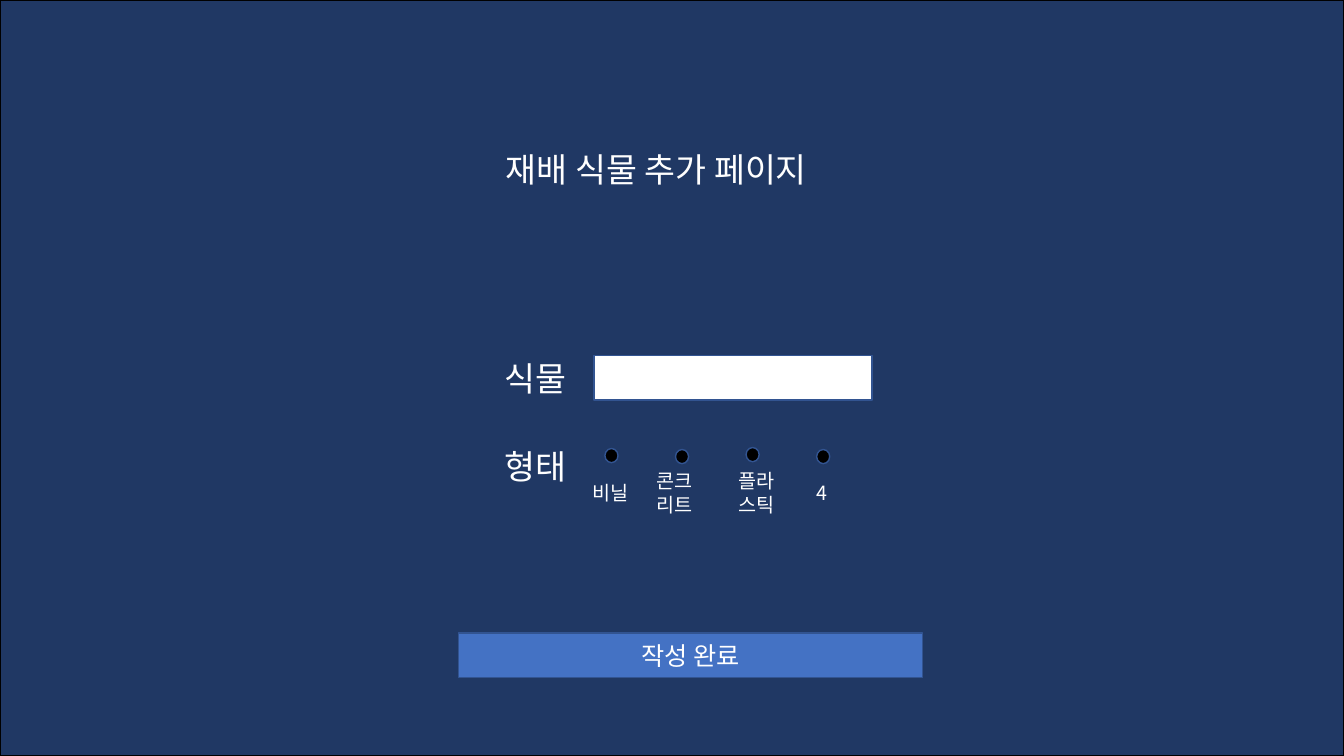
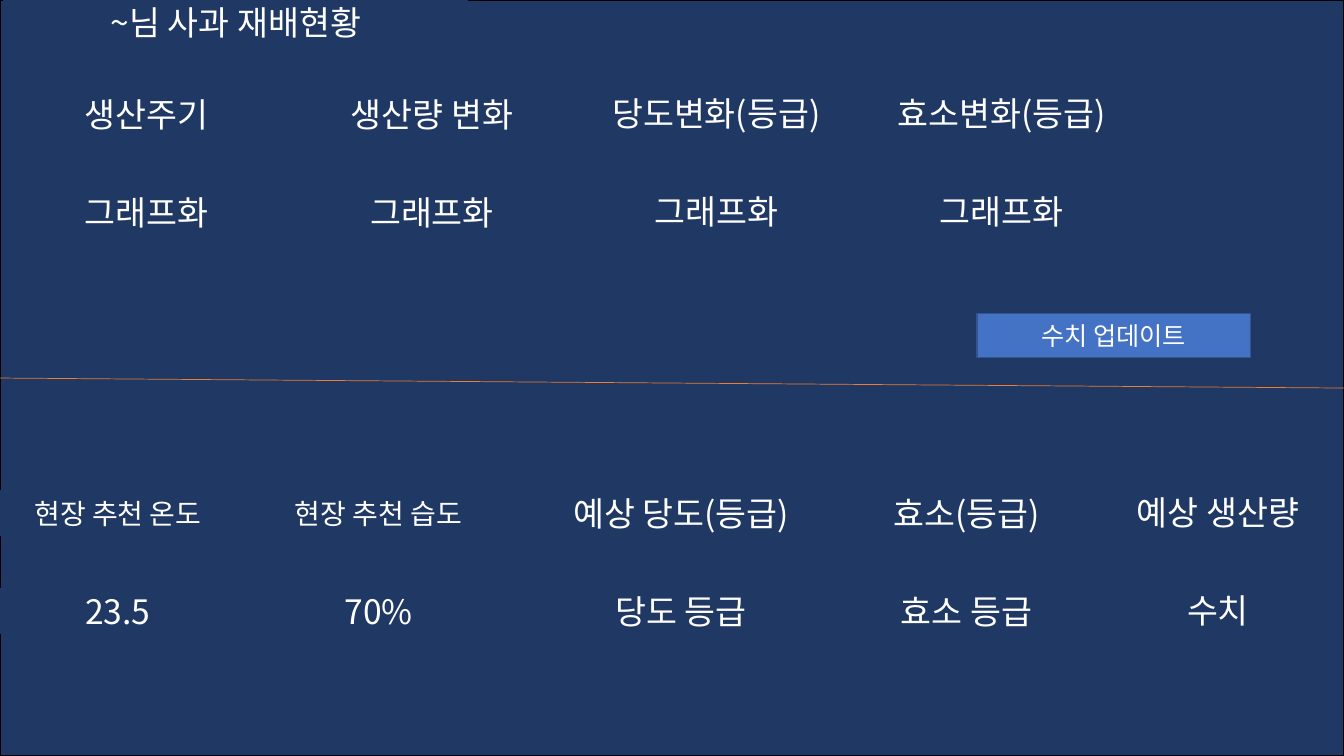
from lxml import etree
from pptx import Presentation
from pptx.dml.color import RGBColor
from pptx.enum.shapes import MSO_CONNECTOR, MSO_SHAPE
from pptx.enum.text import MSO_ANCHOR, PP_ALIGN
from pptx.oxml.ns import qn
from pptx.util import Inches, Pt

RECT, OVAL = MSO_SHAPE.RECTANGLE, MSO_SHAPE.OVAL
CENTER, RIGHT = PP_ALIGN.CENTER, PP_ALIGN.RIGHT
MIDDLE = MSO_ANCHOR.MIDDLE
STRAIGHT = MSO_CONNECTOR.STRAIGHT

FONT = "Noto Sans CJK KR"
NAVY, WHITE, BLACK = "203864", "FFFFFF", "000000"
BLUE, EDGE, ORANGE = "4472C4", "325491", "ED7D31"
WIDTH, HEIGHT = 13.33, 7.5
ROW = 0.44      # height of a label, field or button
COLUMN = 2.83   # width of a status column
VALUE_DROP = 0.97  # from a heading down to its value


def add_box(slide, box, text="", size=24, fill=NAVY, edge=NAVY, align=CENTER, kind=RECT):
    """Add a filled shape at (left, top, width, height) inches, with optional text."""
    shape = slide.shapes.add_shape(kind, *map(Inches, box))
    shape.shadow.inherit = False
    shape.fill.solid()
    shape.fill.fore_color.rgb = RGBColor.from_string(fill)
    shape.line.color.rgb = RGBColor.from_string(edge)
    shape.line.width = Pt(1)
    if text:
        frame = shape.text_frame
        frame.word_wrap = True
        frame.vertical_anchor = MIDDLE
        paragraph = frame.paragraphs[0]
        paragraph.text = text
        paragraph.alignment = align
        font = paragraph.font
        font.size, font.name = Pt(size), FONT
        font.color.rgb = RGBColor.from_string(WHITE)
        defaults = paragraph._p.pPr.find(qn("a:defRPr"))
        etree.SubElement(defaults, qn("a:ea"), typeface=FONT)


def add_page(deck):
    """Add a blank slide with the navy backdrop."""
    slide = deck.slides.add_slide(deck.slide_layouts[6])
    add_box(slide, (0, 0, WIDTH, HEIGHT), edge=BLACK)
    return slide


deck = Presentation()
deck.slide_width, deck.slide_height = Inches(WIDTH), Inches(HEIGHT)

# Form for adding a plant
form = add_page(deck)
add_box(form, (5.89, 3.53, 2.76, ROW), fill=WHITE, edge=EDGE)
add_box(form, (4.49, 3.53, 1.23, ROW), "식물", align=RIGHT)
add_box(form, (3.75, 4.09, 1.97, 1.07), "형태", align=RIGHT)
add_box(form, (4.55, 6.28, 4.6, ROW), "작성 완료", 18, BLUE, EDGE)
add_box(form, (3.75, 1.46, 5.52, ROW), "재배 식물 추가 페이지")

for option, dot_top in enumerate((4.45, 4.46, 4.44, 4.46)):
    add_box(form, (6 + 0.7 * option, dot_top, 0.13, 0.14), fill=BLACK, edge=EDGE, kind=OVAL)
for left, material in ((5.73, "비닐"), (6.37, "콘크리트"), (7.18, "플라스틱"), (7.83, "4")):
    add_box(form, (left, 4.67, 0.65, ROW), material, 14)

# Growing status
status = add_page(deck)
add_box(status, (0.04, 0, 4.6, ROW), "~님 사과 재배현황")

measures = (
    # left, top, width, heading, heading size, value
    (0.04, 0.91, COLUMN, "생산주기", 24, "그래프화"),
    (2.87, 0.91, COLUMN, "생산량 변화", 24, "그래프화"),
    (0, 4.87, 2.34, "현장 추천 온도", 20, "23.5"),
    (2.34, 4.87, COLUMN, "현장 추천 습도", 20, "70%"),
    (5.34, 4.87, COLUMN, "예상 당도(등급)", 24, "당도 등급"),
    (8.17, 4.87, COLUMN, "효소(등급)", 24, "효소 등급"),
    (5.69, 0.9, COLUMN, "당도변화(등급)", 24, "그래프화"),
    (8.52, 0.9, COLUMN, "효소변화(등급)", 24, "그래프화"),
    (11, 4.86, 2.16, "예상 생산량", 24, "수치"),
)
for left, top, width, heading, size, value in measures:
    add_box(status, (left, top, width, ROW), heading, size)
    add_box(status, (left, top + VALUE_DROP, width, ROW), value)

divider = status.shapes.add_connector(STRAIGHT, *map(Inches, (-0.05, 3.75, 13.38, 3.85)))
divider.line.color.rgb = RGBColor.from_string(ORANGE)
divider.line.width = Pt(0.5)
etree.SubElement(divider._element.spPr, qn("a:effectLst"))
add_box(status, (9.69, 3.11, 2.71, ROW), "수치 업데이트", 18, BLUE, EDGE)

deck.save("out.pptx")
